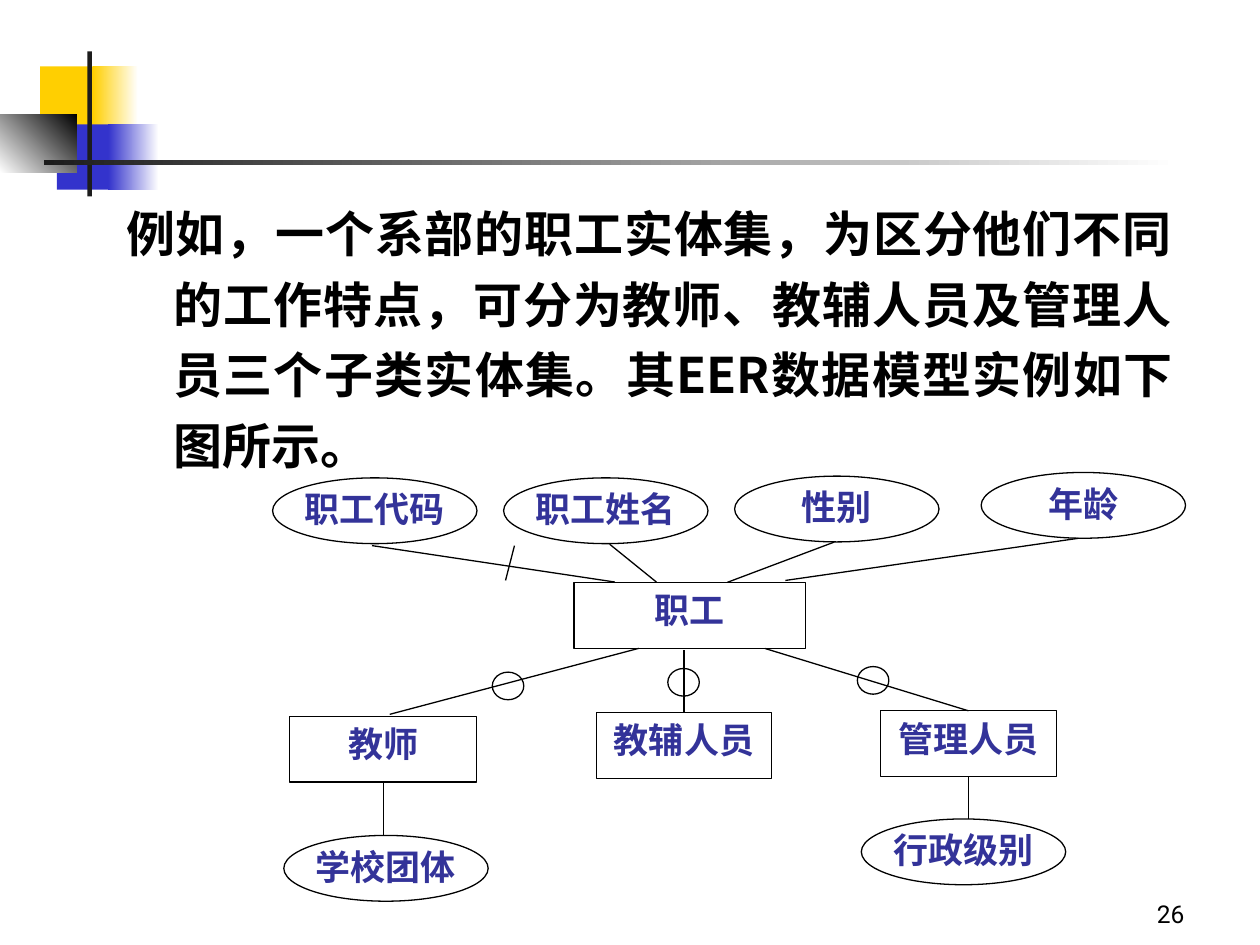
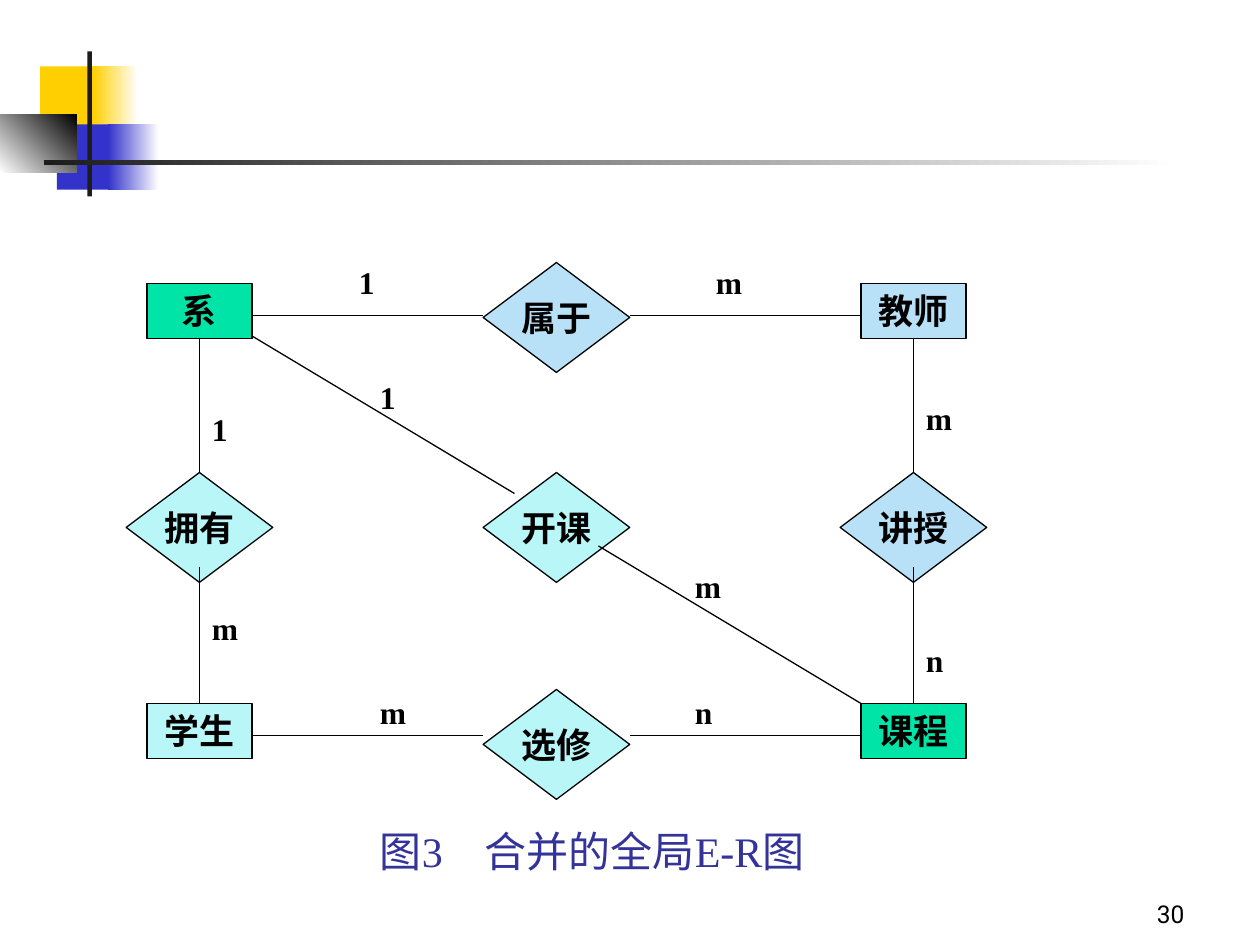
"""Build two entity-relationship diagram slides that share one banded frame."""
from lxml import etree
from pptx import Presentation
from pptx.dml.color import RGBColor
from pptx.enum.shapes import MSO_CONNECTOR, MSO_SHAPE as Shape
from pptx.enum.text import MSO_ANCHOR as Anchor, PP_ALIGN as Align
from pptx.oxml.ns import qn
from pptx.util import Pt

COLOURS = {
    "white": "FFFFFF", "black": "000000", "ink": "1C1C1C", "yellow": "FFCF01",
    "blue": "3333CC", "navy": "333399", "sky": "B8E1F8", "aqua": "B8F6F8", "green": "00E4A8",
}
SANS, SERIF, CHINESE = "Roboto", "Times New Roman", "Noto Sans CJK SC"
TOP, BOTTOM = 0, 2

BANDS = [
    ((23, 37.9, 34.6, 37.4), ("yellow",), 0),
    ((53, 37.9, 25.9, 37.4), ("white", "yellow"), 180),
    ((32.6, 71, 33.1, 37.4), ("blue",), 0),
    ((61.9, 71, 28.8, 37.4), ("white", "blue"), 180),
    ((0, 65.3, 44, 33.3), ("black", "white"), 225),
    ((50, 29.4, 2.5, 82.8), ("ink",), 0),
    ((25.2, 91.5, 648, 2.8), ("white", "ink"), 180),
]

EXAMPLE = ("例如，一个系部的职工实体集，为区分他们不同的工作特点，可分为教师、教辅人员"
           "及管理人员三个子类实体集。其EER数据模型实例如下图所示。")
STAFF_ATTRIBUTES = {
    "职工代码": (155.8, 273.1), "职工姓名": (287.8, 273.1), "性别": (419.8, 272.1),
    "年龄": (560.7, 270), "学校团体": (162.2, 477.4), "行政级别": (492.2, 468),
}
STAFF_ENTITIES = {
    "职工": (328, 332.9, 132.4), "教师": (165.6, 409.4, 106.8),
    "教辅人员": (340.8, 407.2, 100.3), "管理人员": (503.3, 406.2, 100.3),
}
STAFF_LINKS = [
    ((348.4, 311), (375.1, 332.6)),
    ((351.4, 332.6), (212.6, 311.8)),
    ((415.6, 332.8), (476.6, 309.8)),
    ((448.8, 331.7), (616.3, 307.6)),
    ((294, 311.8), (288.9, 331.7)),
    ((365, 370.5), (222.7, 408.2)),
    ((390.95, 371.5), ("教辅人员", TOP)),
    ((437.2, 370.6), ("管理人员", TOP)),
    (("教师", BOTTOM), (219, 477.4)),
    (("管理人员", BOTTOM), (553.45, 468)),
]
SUBTYPE_CIRCLES = [(281.3, 384.1), (381.6, 382), (489.9, 380.9)]

COLUMNS = (114, 318, 522)
GLOBAL_ENTITIES = {
    "系": (0, 162, "green"), "教师": (2, 162, "sky"),
    "学生": (0, 402, "aqua"), "课程": (2, 402, "green"),
}
GLOBAL_RELATIONS = {
    "属于": (1, 150, "sky"), "拥有": (0, 270, "aqua"), "开课": (1, 270, "aqua"),
    "讲授": (2, 270, "sky"), "选修": (1, 394, "aqua"),
}
GLOBAL_LINKS = [
    *[((left, y), (left + 132, y)) for y in (180.1, 420.1) for left in (144, 360)],
    (("系", BOTTOM), ("拥有", TOP)),
    ((114, 324), ("学生", TOP)),
    (("教师", BOTTOM), ("讲授", TOP)),
    ((522, 324), ("课程", TOP)),
    ((144, 192), (294, 282)),
    ((342, 312), (492, 402)),
]
CARDINALITIES = [
    ("1", 198, 150.2), ("m", 402, 150.2), ("1", 210, 216), ("m", 522, 228),
    ("1", 114, 234.2), ("m", 390, 324), ("m", 114, 348), ("n", 522, 366.2),
    ("m", 210, 396), ("n", 390, 396),
]
CAPTION = "图3　合并的全局E-R图"


def rgb(name):
    return RGBColor.from_string(COLOURS[name])


def write(box, text, size, font, colour="black", bold=False, align=Align.LEFT,
          inset=(7.2, 3.6), anchor=Anchor.TOP):
    frame = box.text_frame
    frame.word_wrap = True
    frame.vertical_anchor = anchor
    frame.margin_left = frame.margin_right = Pt(inset[0])
    frame.margin_top = frame.margin_bottom = Pt(inset[1])
    para = frame.paragraphs[0]
    para.alignment = align
    span = para.add_run()
    span.text = text
    span.font.size, span.font.bold, span.font.name = Pt(size), bold, font
    span.font.color.rgb = rgb(colour)
    etree.SubElement(span.font._element, qn("a:ea"), typeface=CHINESE)
    return para


def add_text(page, area, *args, **style):
    return write(page.shapes.add_textbox(*map(Pt, area)), *args, **style)


def add_figure(page, kind, area, fills=(), angle=0, outlined=True):
    figure = page.shapes.add_shape(kind, *map(Pt, area))
    figure.shadow.inherit = False
    if len(fills) == 2:
        figure.fill.gradient()
        figure.fill.gradient_angle = angle
        for stop, name in zip(figure.fill.gradient_stops, fills):
            stop.color.rgb = rgb(name)
    elif fills:
        figure.fill.solid()
        figure.fill.fore_color.rgb = rgb(fills[0])
    else:
        figure.fill.background()
    if outlined:
        figure.line.color.rgb = rgb("black")
        figure.line.width = Pt(0.75)
    else:
        figure.line.fill.background()
    return figure


def add_node(page, kind, area, fill, text, font, colour, inset):
    node = add_figure(page, kind, area, (fill,))
    write(node, text, 20, font, colour, True, Align.CENTER, inset)
    return node


def add_links(page, links, nodes):
    for ends in links:
        points = [(0, 0) if end[0] in nodes else end for end in ends]
        link = page.shapes.add_connector(
            MSO_CONNECTOR.STRAIGHT, *[Pt(value) for point in points for value in point])
        link.line.color.rgb = rgb("black")
        link.line.width = Pt(0.75)
        etree.SubElement(link._element.spPr, qn("a:effectLst"))
        for end, join in zip(ends, (link.begin_connect, link.end_connect)):
            if end[0] in nodes:
                join(nodes[end[0]], end[1])


def add_page(deck, number):
    page = deck.slides.add_slide(deck.slide_layouts[6])
    for area, fills, angle in BANDS:
        add_figure(page, Shape.RECTANGLE, area, fills, angle, outlined=False)
    add_text(page, (534, 498, 150, 36), number, 14, SANS, align=Align.RIGHT,
             anchor=Anchor.BOTTOM)
    return page


def build_staff_page(deck):
    page = add_page(deck, "26")
    para = add_text(page, (65, 106, 612, 378), EXAMPLE, 28, CHINESE, bold=True,
                    align=Align.JUSTIFY)
    para.line_spacing = 1.2
    properties = para._p.get_or_add_pPr()
    properties.set("marL", str(Pt(27)))
    properties.set("indent", str(Pt(-27)))
    nodes = {}
    for name, (left, top) in STAFF_ATTRIBUTES.items():
        nodes[name] = add_node(page, Shape.OVAL, (left, top, 116.8, 37.6), "white",
                               name, SERIF, "navy", (0, 0))
    for name, (left, top, width) in STAFF_ENTITIES.items():
        nodes[name] = add_node(page, Shape.RECTANGLE, (left, top, width, 37.6), "white",
                               name, SERIF, "navy", (0, 3.6))
    add_links(page, STAFF_LINKS, nodes)
    for left, top in SUBTYPE_CIRCLES:
        add_figure(page, Shape.OVAL, (left, top, 18, 15.8))


def build_global_page(deck):
    page = add_page(deck, "30")
    nodes = {}
    for kind, width, height, group in (
            (Shape.RECTANGLE, 60, 31.6, GLOBAL_ENTITIES),
            (Shape.DIAMOND, 83.8, 62.8, GLOBAL_RELATIONS)):
        for name, (column, top, fill) in group.items():
            area = (COLUMNS[column] - width / 2, top, width, height)
            nodes[name] = add_node(page, kind, area, fill, name, SANS, "black", (0, 3.6))
    add_links(page, GLOBAL_LINKS, nodes)
    for mark, left, top in CARDINALITIES:
        add_text(page, (left, top, 42, 21.6), mark, 18, SERIF, bold=True, inset=(7.2, 0))
    caption = add_figure(page, Shape.RECTANGLE, (210, 468, 288, 36), ("white",),
                         outlined=False)
    write(caption, CAPTION, 24, SERIF, "navy")


def main():
    deck = Presentation()
    deck.slide_width, deck.slide_height = Pt(720), Pt(540)
    build_staff_page(deck)
    build_global_page(deck)
    deck.save("out.pptx")


if __name__ == "__main__":
    main()
